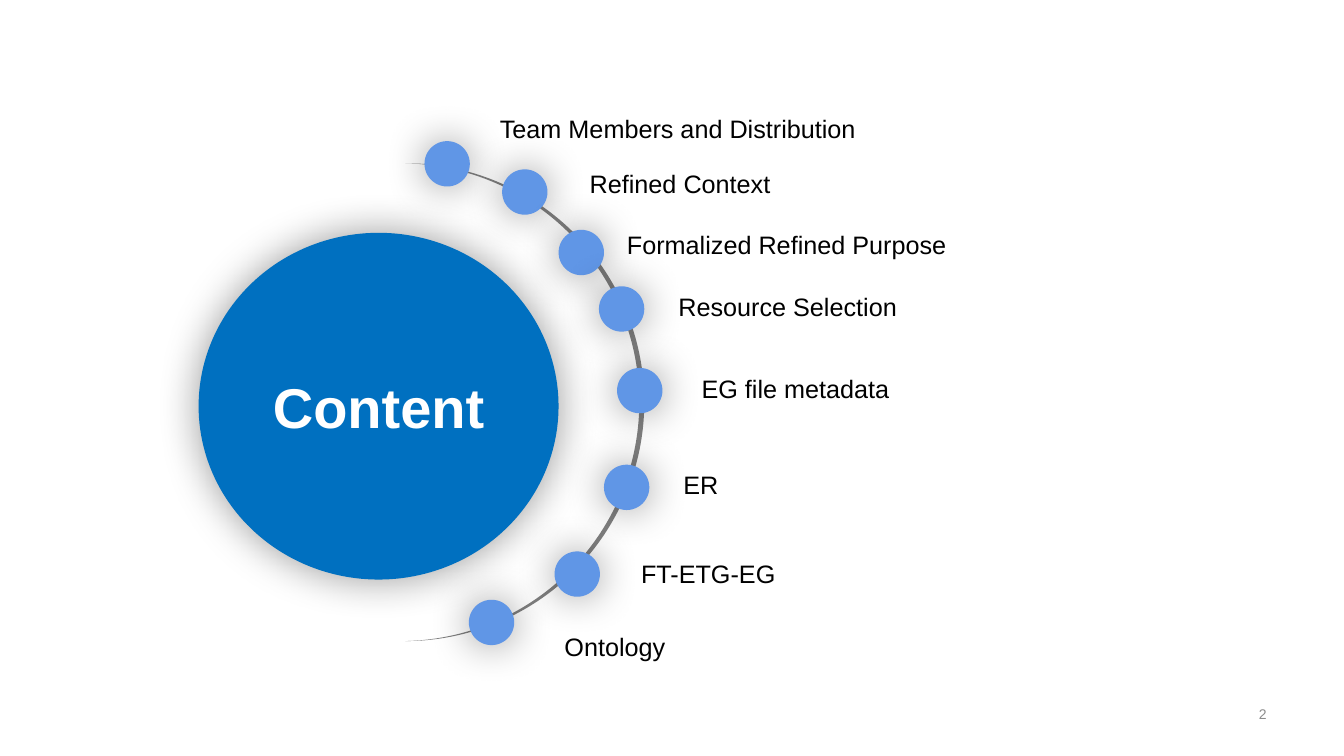
from lxml import etree
from pptx import Presentation
from pptx.dml.color import RGBColor
from pptx.enum.shapes import MSO_SHAPE
from pptx.enum.text import MSO_ANCHOR, MSO_AUTO_SIZE, PP_ALIGN
from pptx.util import Inches, Pt

OVAL, MOON = MSO_SHAPE.OVAL, MSO_SHAPE.MOON
MIDDLE = MSO_ANCHOR.MIDDLE
FIT_SHAPE, FIXED_SIZE = MSO_AUTO_SIZE.SHAPE_TO_FIT_TEXT, MSO_AUTO_SIZE.NONE
LEFT, CENTER, RIGHT = PP_ALIGN.LEFT, PP_ALIGN.CENTER, PP_ALIGN.RIGHT
BLACK = RGBColor(0, 0, 0)
WHITE = RGBColor(255, 255, 255)
BLUE = RGBColor(0x00, 0x70, 0xC0)
LIGHT_BLUE = RGBColor(0x60, 0x96, 0xE6)
GRAY = RGBColor(0x80, 0x80, 0x80)
PALE_GRAY = RGBColor(0x8C, 0x8C, 0x8C)
DRAWING_NS = "http://schemas.openxmlformats.org/drawingml/2006/main"

COLUMNS, ROWS = 13.33, 7.5
HEADING = "Content"
PAGE_NUMBER = "2"
TOPICS = [
    ("Team Members and Distribution", (4.21, 1.4), (4.86, 1.08), 4.84),
    ("Refined Context", (4.98, 1.68), (5.75, 1.62), 2.08),
    ("Formalized Refined Purpose", (5.54, 2.28), (6.12, 2.23), 3.39),
    ("Resource Selection", (5.94, 2.84), (6.63, 2.84), 2.37),
    ("EG file metadata", (6.12, 3.65), (6.86, 3.65), 2.08),
    ("ER", (5.99, 4.61), (6.68, 4.61), 1.4),
    ("FT-ETG-EG", (5.5, 5.47), (6.26, 5.49), 1.65),
    ("Ontology", (4.65, 5.95), (5.5, 6.21), 1.59),
]
HUB = (1.97, 2.31, 3.57, 3.44)
ARC = (4.02, 1.62, 2.37, 4.74)
NUMBER_AREA = (9.71, 6.91, 2.95, 0.35)
DOT_SIZE = 0.45
LABEL_HEIGHT = 0.4

HEADING_FONT = {"size": Pt(40), "bold": True}
LABEL_FONT = {"size": Pt(18)}
NUMBER_FONT = {"size": Pt(10)}


def place(area):
    return [Inches(length) for length in area]


def add_figure(page, preset, area, color):
    figure = page.shapes.add_shape(preset, *place(area))
    figure.fill.solid()
    figure.fill.fore_color.rgb = color
    figure.line.fill.background()
    figure.shadow.inherit = False
    return figure


def add_disc(page, area, color):
    disc = add_figure(page, OVAL, area, color)
    effects = disc._element.spPr.find(f"{{{DRAWING_NS}}}effectLst")
    shadow = etree.SubElement(
        effects, f"{{{DRAWING_NS}}}outerShdw",
        blurRad=str(Pt(30)), dist="0", dir="0", algn="ctr", rotWithShape="0")
    tint = etree.SubElement(shadow, f"{{{DRAWING_NS}}}srgbClr", val="000000")
    etree.SubElement(tint, f"{{{DRAWING_NS}}}alpha", val="40000")
    return disc


def write(shape, text, font, color, align, frame_format):
    frame = shape.text_frame
    frame.word_wrap = True
    for name, value in frame_format.items():
        setattr(frame, name, value)
    para = frame.paragraphs[0]
    para.alignment = align
    span = para.add_run()
    span.text = text
    for name, value in {"name": "Arial", **font}.items():
        setattr(span.font, name, value)
    span.font.color.rgb = color


def add_text(page, area, *details):
    write(page.shapes.add_textbox(*place(area)), *details)


def add_hub(page):
    title = page.shapes.title
    title.left, title.top, title.width, title.height = place(HUB)
    write(title, HEADING, HEADING_FONT, WHITE, CENTER,
          {"vertical_anchor": MIDDLE, "auto_size": FIXED_SIZE})
    hub = add_disc(page, HUB, BLUE)
    title._element.addprevious(hub._element)


def add_arc(page):
    arc = add_figure(page, MOON, ARC, GRAY)
    arc.rotation = 180
    arc.adjustments[0] = 0.021


def add_topics(page):
    for _, corner, _, _ in TOPICS:
        add_disc(page, (*corner, DOT_SIZE, DOT_SIZE), LIGHT_BLUE)
    for text, _, corner, width in TOPICS:
        add_text(page, (*corner, width, LABEL_HEIGHT), text, LABEL_FONT,
                 BLACK, LEFT, {"auto_size": FIT_SHAPE})


def main():
    deck = Presentation()
    deck.slide_width, deck.slide_height = place((COLUMNS, ROWS))
    page = deck.slides.add_slide(deck.slide_layouts.get_by_name("Title Only"))
    add_hub(page)
    add_arc(page)
    add_topics(page)
    add_text(page, NUMBER_AREA, PAGE_NUMBER, NUMBER_FONT, PALE_GRAY, RIGHT,
             {"vertical_anchor": MIDDLE})
    deck.save("out.pptx")


if __name__ == "__main__":
    main()
